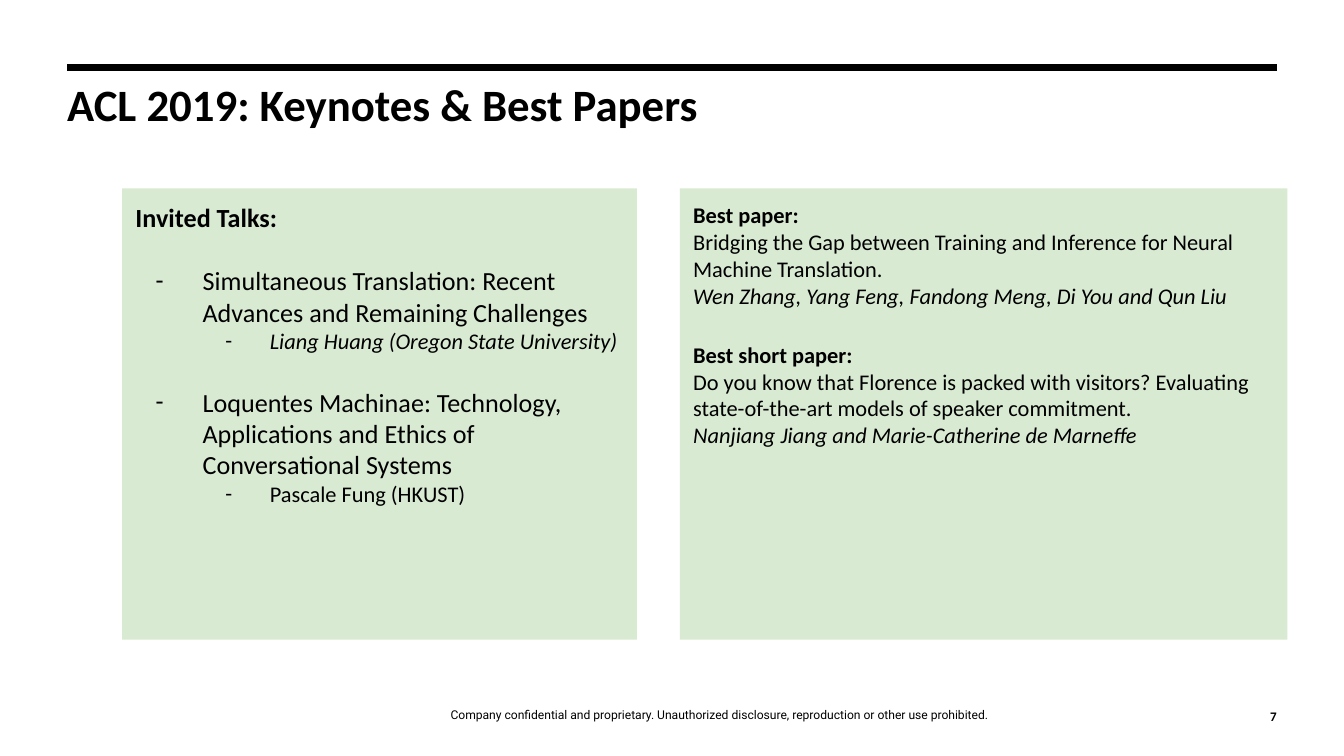
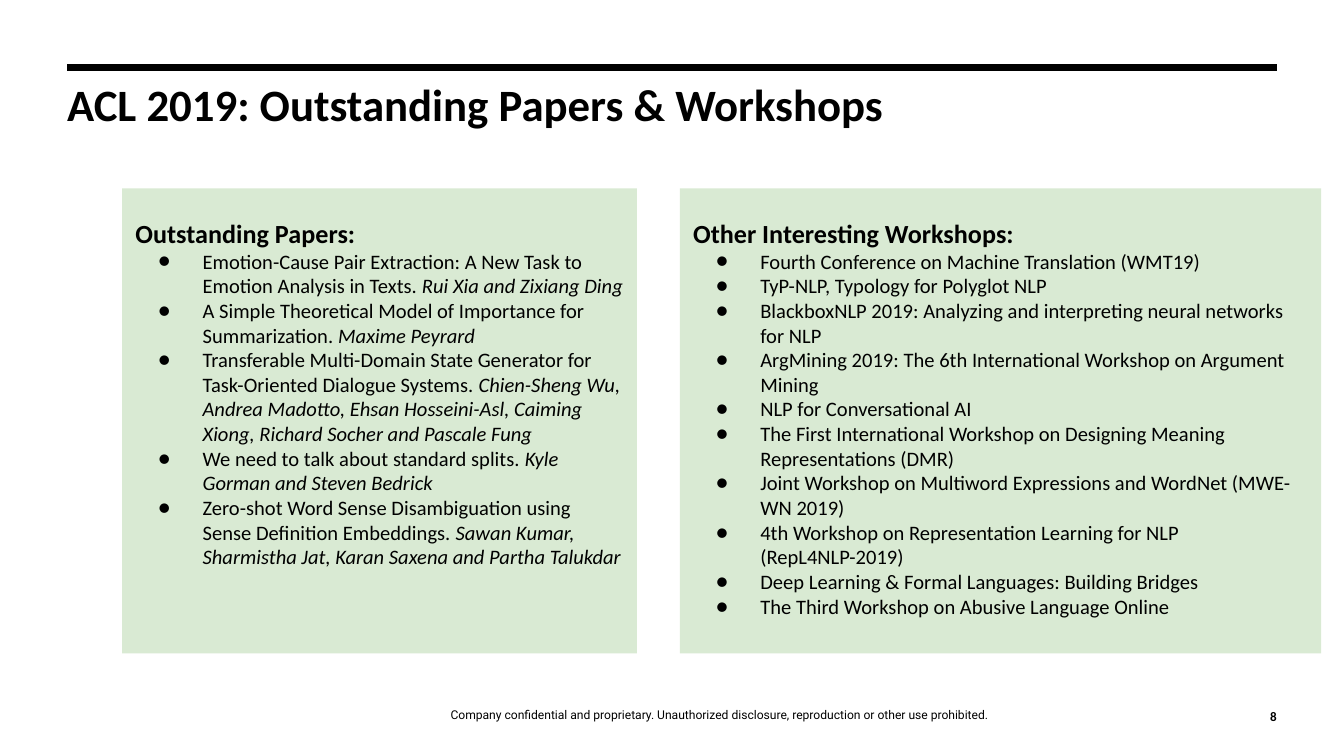
"""Build two conference summary slides with paired text panels."""
from dataclasses import dataclass
from typing import Optional

from lxml.etree import SubElement
from pptx import Presentation
from pptx.dml.color import RGBColor
from pptx.enum.shapes import MSO_CONNECTOR as Connector, MSO_SHAPE as Shape
from pptx.enum.text import MSO_ANCHOR as Anchor, PP_ALIGN as Align
from pptx.oxml.ns import qn
from pptx.util import Cm, Pt

COLORS = {"ink": "000000", "panel": "D9EAD3"}
FONT = "Calibri"
FOOTER_FONT = "Roboto"
FOOTER = ("Company confidential and proprietary. Unauthorized disclosure, "
          "reproduction or other use prohibited.")
MARGIN = 1.27
SLIDE_WIDTH = 25.4
PANEL_TOP = 3.56
PANEL_INSET = 0.25
SECTION_GAP = 17


@dataclass(frozen=True)
class Box:
    left: float
    top: float
    width: float
    height: float


@dataclass(frozen=True)
class Bullet:
    mark: str
    indent: float
    hanging: float
    level: int = 0


@dataclass(frozen=True)
class Line:
    text: str
    size: float
    bold: bool = False
    italic: bool = False
    italic_tail: str = ""
    bullet: Optional[Bullet] = None
    gap: float = 0
    spacing: float = 1.0
    align: Align = Align.LEFT
    font: str = FONT


@dataclass(frozen=True)
class Panel:
    left: float
    width: float
    lines: list[Line]


@dataclass(frozen=True)
class Page:
    title: str
    number: int
    panel_height: float
    panels: list[Panel]


TALK = Bullet("-", 1.27, 0.89)
SPEAKER = Bullet("-", 2.54, 0.84, level=1)
DOT = Bullet("●", 1.27, 0.84)


def talk(title: str) -> Line:
    """Return an invited talk set apart from what precedes it."""
    return Line(title, 14, bullet=TALK, gap=SECTION_GAP)


def award(name: str, paper: str, authors: str, gap: float = 0) -> list[Line]:
    """Return the lines for an award, its paper and the authors."""
    return [Line(name, 12, bold=True, gap=gap), Line(paper, 12),
            Line(authors, 12, italic=True)]


def dotted_list(heading: str, items: list[tuple[str, str]]) -> list[Line]:
    """Return a heading followed by dotted items with italic endings."""
    return [Line(heading, 14, bold=True, spacing=1.5)] + [
        Line(text, 11, italic_tail=tail, bullet=DOT) for text, tail in items]


TALKS = [
    Line("Invited Talks:", 14, bold=True),
    talk("Simultaneous Translation: Recent Advances and Remaining Challenges"),
    Line("Liang Huang (Oregon State University)", 12, italic=True, bullet=SPEAKER),
    talk("Loquentes Machinae: Technology, Applications and Ethics of "
         "Conversational Systems"),
    Line("Pascale Fung (HKUST)", 12, bullet=SPEAKER),
]
AWARDS = award(
    "Best paper:",
    "Bridging the Gap between Training and Inference for Neural Machine Translation.",
    "Wen Zhang, Yang Feng, Fandong Meng, Di You and Qun Liu",
) + award(
    "Best short paper:",
    "Do you know that Florence is packed with visitors? Evaluating "
    "state-of-the-art models of speaker commitment.",
    "Nanjiang Jiang and Marie-Catherine de Marneffe",
    gap=SECTION_GAP,
)
PAPERS = [
    ("Emotion-Cause Pair Extraction: A New Task to Emotion Analysis in Texts. ",
     "Rui Xia and Zixiang Ding"),
    ("A Simple Theoretical Model of Importance for Summarization. ",
     "Maxime Peyrard"),
    ("Transferable Multi-Domain State Generator for Task-Oriented Dialogue Systems. ",
     "Chien-Sheng Wu, Andrea Madotto, Ehsan Hosseini-Asl, Caiming Xiong, "
     "Richard Socher and Pascale Fung"),
    ("We need to talk about standard splits. ", "Kyle Gorman and Steven Bedrick"),
    ("Zero-shot Word Sense Disambiguation using Sense Definition Embeddings. ",
     "Sawan Kumar, Sharmistha Jat, Karan Saxena and Partha Talukdar"),
]
WORKSHOPS = [
    "Fourth Conference on Machine Translation (WMT19)",
    "TyP-NLP, Typology for Polyglot NLP",
    "BlackboxNLP 2019: Analyzing and interpreting neural networks for NLP",
    "ArgMining 2019: The 6th International Workshop on Argument Mining",
    "NLP for Conversational AI",
    "The First International Workshop on Designing Meaning Representations (DMR)",
    "Joint Workshop on Multiword Expressions and WordNet (MWE-WN 2019)",
    "4th Workshop on Representation Learning for NLP (RepL4NLP-2019)",
    "Deep Learning & Formal Languages: Building Bridges",
    "The Third Workshop on Abusive Language Online",
]

LEFT, LEFT_WIDTH, RIGHT = 2.31, 9.73, 12.85
PAGES = [
    Page("ACL 2019: Keynotes & Best Papers", 7, 8.53, [
        Panel(RIGHT, 11.48, AWARDS),
        Panel(LEFT, LEFT_WIDTH, TALKS),
    ]),
    Page("ACL 2019: Outstanding Papers & Workshops", 8, 8.79, [
        Panel(RIGHT, 12.12, dotted_list("Other Interesting Workshops:",
                                        [(name, "") for name in WORKSHOPS])),
        Panel(LEFT, LEFT_WIDTH, dotted_list("Outstanding Papers:", PAPERS)),
    ]),
]


def rgb(name: str) -> RGBColor:
    """Return a named palette colour."""
    return RGBColor.from_string(COLORS[name])


def lengths(box: Box) -> tuple[Cm, Cm, Cm, Cm]:
    """Return the place and size of a box as lengths."""
    return Cm(box.left), Cm(box.top), Cm(box.width), Cm(box.height)


def add_bullet(paragraph, bullet: Bullet) -> None:
    """Give a paragraph a hanging bullet."""
    paragraph.level = bullet.level
    properties = paragraph._p.get_or_add_pPr()
    properties.set("marL", str(Cm(bullet.indent)))
    properties.set("indent", str(-Cm(bullet.hanging)))
    color = SubElement(properties, qn("a:buClr"))
    SubElement(color, qn("a:srgbClr"), val=COLORS["ink"])
    SubElement(properties, qn("a:buFont"), typeface=FONT)
    SubElement(properties, qn("a:buChar"), char=bullet.mark)


def write_line(paragraph, line: Line) -> None:
    """Fill one paragraph with a styled line."""
    if line.bullet:
        add_bullet(paragraph, line.bullet)
    paragraph.alignment = line.align
    paragraph.line_spacing = line.spacing
    paragraph.space_before = Pt(line.gap)
    font = paragraph.font
    font.name, font.size = line.font, Pt(line.size)
    font.bold = line.bold
    font.color.rgb = rgb("ink")
    paragraph.add_run().text = line.text
    if line.italic_tail:
        tail = paragraph.add_run()
        tail.text = line.italic_tail
        tail.font.italic = True
    else:
        font.italic = line.italic


def write_lines(shape, lines: list[Line], anchor: Anchor, inset: float = 0) -> None:
    """Fill a shape with lines of text."""
    frame = shape.text_frame
    frame.word_wrap = True
    frame.vertical_anchor = anchor
    frame.margin_left = frame.margin_right = Cm(inset)
    frame.margin_top = frame.margin_bottom = Cm(inset)
    for index, line in enumerate(lines):
        paragraph = frame.add_paragraph() if index else frame.paragraphs[0]
        write_line(paragraph, line)


def add_text(slide, box: Box, line: Line, anchor: Anchor) -> None:
    """Add a text box holding a single line."""
    write_lines(slide.shapes.add_textbox(*lengths(box)), [line], anchor)


def add_rule(slide) -> None:
    """Add the heavy rule above the title."""
    rule = slide.shapes.add_connector(
        Connector.STRAIGHT, Cm(MARGIN), Cm(MARGIN), Cm(SLIDE_WIDTH - MARGIN), Cm(MARGIN))
    rule.line.color.rgb = rgb("ink")
    rule.line.width = Pt(3.75)
    SubElement(rule._element.spPr, qn("a:effectLst"))


def add_panel(slide, panel: Panel, height: float) -> None:
    """Add a filled panel with its text."""
    box = Box(panel.left, PANEL_TOP, panel.width, height)
    shape = slide.shapes.add_shape(Shape.RECTANGLE, *lengths(box))
    shape.shadow.inherit = False
    shape.fill.solid()
    shape.fill.fore_color.rgb = rgb("panel")
    shape.line.fill.background()
    write_lines(shape, panel.lines, Anchor.TOP, PANEL_INSET)


def add_page(presentation, page: Page) -> None:
    """Add one slide with footer, rule, title, number and panels."""
    slide = presentation.slides.add_slide(presentation.slide_layouts[6])
    add_text(slide, Box(3.71, 12.8, 19.79, 0.84),
             Line(FOOTER, 6.5, spacing=1.14, align=Align.CENTER, font=FOOTER_FONT),
             Anchor.BOTTOM)
    add_rule(slide)
    add_text(slide, Box(MARGIN, 1.65, 19.69, 1.9),
             Line(page.title, 24, bold=True, spacing=0.8), Anchor.TOP)
    add_text(slide, Box(23.5, 13.06, 0.63, 0.63),
             Line(str(page.number), 7, bold=True, align=Align.RIGHT), Anchor.BOTTOM)
    for panel in page.panels:
        add_panel(slide, panel, page.panel_height)


def main() -> None:
    """Build and save the presentation."""
    presentation = Presentation()
    presentation.slide_width = Cm(SLIDE_WIDTH)
    presentation.slide_height = Cm(14.29)
    for page in PAGES:
        add_page(presentation, page)
    presentation.save("out.pptx")


if __name__ == "__main__":
    main()
